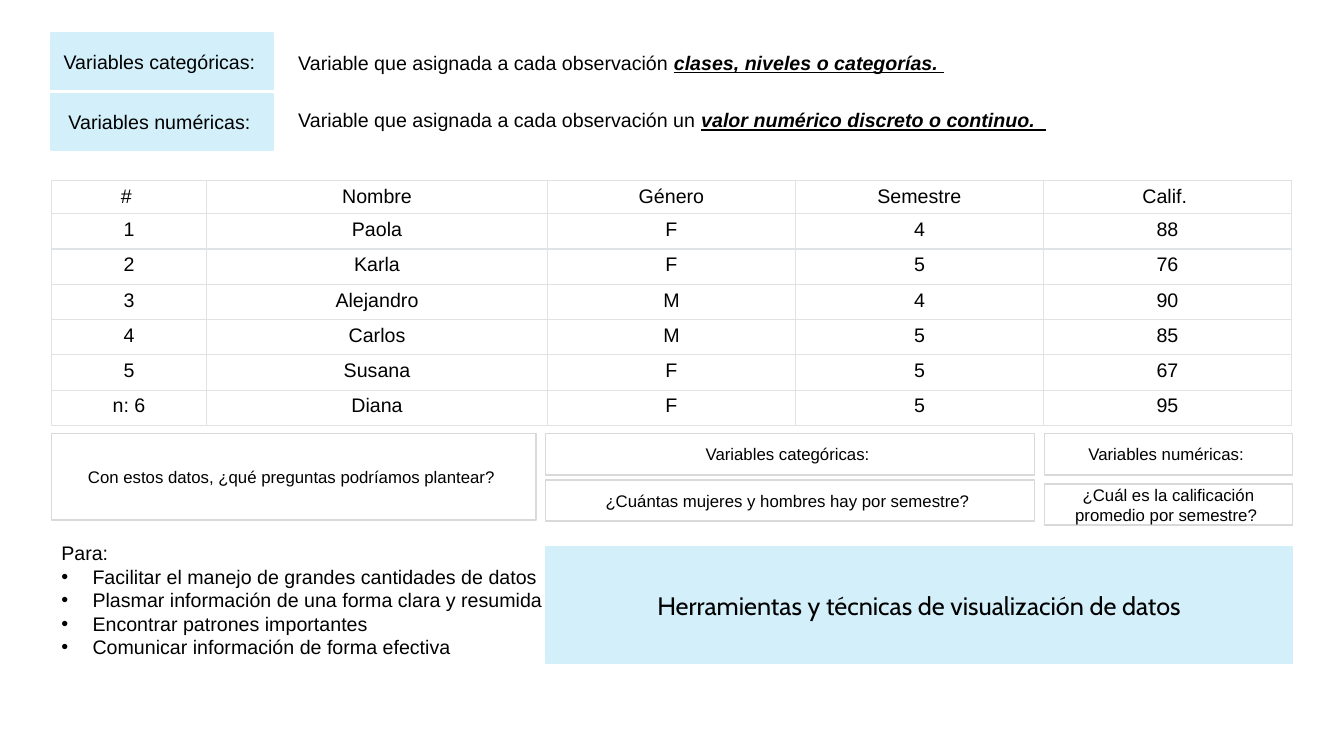
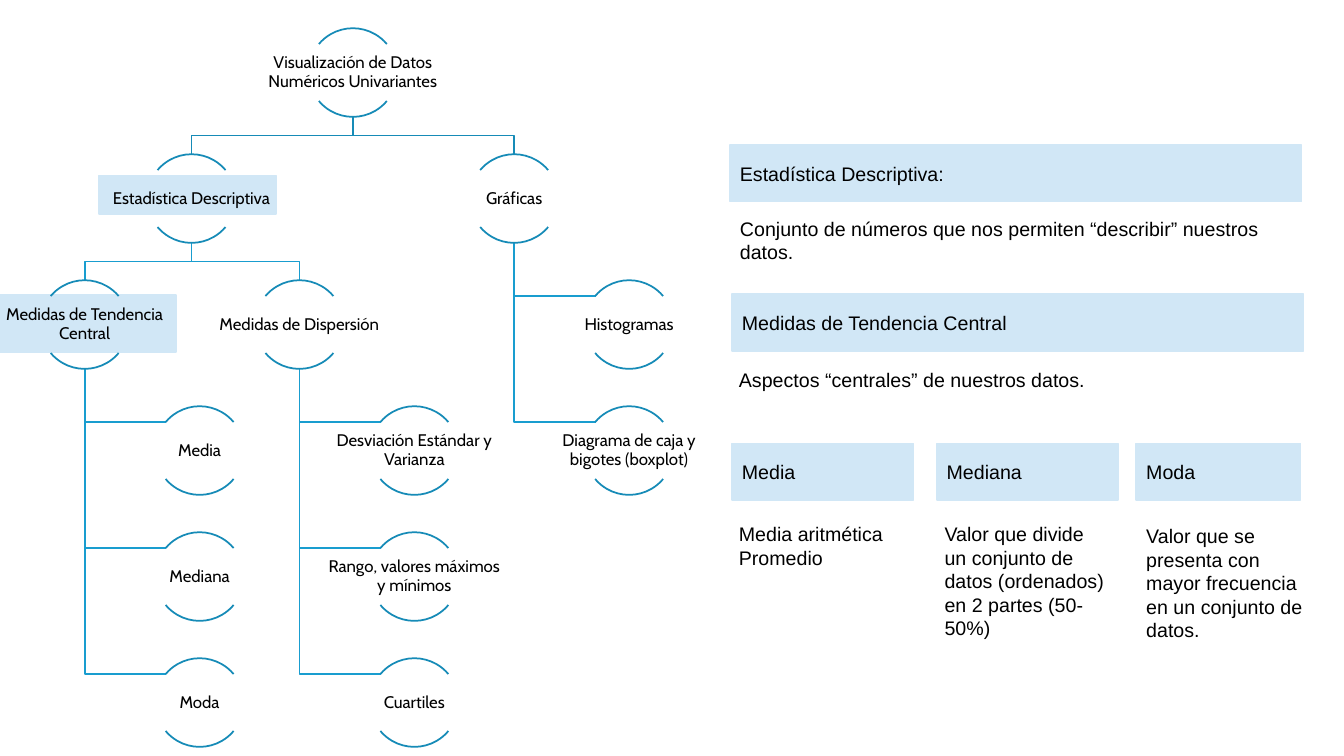
from lxml import etree
from pptx import Presentation
from pptx.dml.color import RGBColor
from pptx.enum.shapes import MSO_SHAPE
from pptx.enum.text import MSO_ANCHOR, PP_ALIGN
from pptx.oxml.ns import qn
from pptx.util import Inches, Pt

RECT, ARC = MSO_SHAPE.RECTANGLE, MSO_SHAPE.ARC
LEFT, MID = PP_ALIGN.LEFT, PP_ALIGN.CENTER
TOP, CENTER = MSO_ANCHOR.TOP, MSO_ANCHOR.MIDDLE

COLORS = {
    "text": "000000", "white": "FFFFFF", "aqua": "D2EFFA", "sky": "D1E7F6",
    "frame": "D9D9D9", "grid": "DFE3E5", "ring": "168BB7", "branch": "199DCF",
}
SANS, TITLE = "Arial", "Cabin"
STROKE = 1.25

# Slide 1: a paragraph is a string or a list of (text, emphasis) runs
TERMS = [
    ("Variables categóricas: ", 0.33, 0.34,
     [("Variable que asignada a cada observación ", False),
      ("clases, niveles o categorías. ", True), (" ", False)]),
    ("Variables numéricas: ", 0.93, 0.91,
     [("Variable que asignada a cada observación un ", False),
      ("valor numérico discreto o continuo.  ", True), (" ", False)]),
]
GRADES = [
    ("# ", "Nombre", "Género", "Semestre", "Calif. "),
    ("1", "Paola", "F", "4", "88"),
    ("2", "Karla", "F", "5", "76"),
    ("3", "Alejandro", "M", "4", "90"),
    ("4", "Carlos", "M", "5", "85"),
    ("5", "Susana", "F", "5", "67"),
    ("n: 6", "Diana", "F", "5", "95"),
]
WIDTHS = (1.54, 3.38, 2.46, 2.46, 2.46)
HEAD_ROW, BODY_ROW = 0.33, 0.35
ASKS = [
    ("Con estos datos, ¿qué preguntas podríamos plantear? ", (0.51, 4.3, 4.81, 0.86)),
    ("Variables categóricas: ", (5.41, 4.3, 4.85, 0.41)),
    ("¿Cuántas mujeres y hombres hay por semestre? ", (5.41, 4.76, 4.85, 0.41)),
    ("Variables numéricas: ", (10.36, 4.3, 2.46, 0.41)),
    ("¿Cuál es la calificación promedio por semestre? ", (10.36, 4.8, 2.46, 0.41)),
]
GOALS = [
    "Facilitar el manejo de grandes cantidades de datos",
    "Plasmar información de una forma clara y resumida",
    "Encontrar patrones importantes",
    "Comunicar información de forma efectiva",
]
TOOLS = "Herramientas y técnicas de visualización de datos"

# Slide 2: each branch has its centre, its level, its parent and its leaves
ROOT = "Visualización de Datos Numéricos Univariantes"
STATS = "Estadística Descriptiva"
TREE = [
    (ROOT, 3.5, 0, None, []),
    (STATS, 1.9, 1, ROOT, []),
    ("Medidas de Tendencia Central", 0.84, 2, STATS, ["Media", "Mediana", "Moda"]),
    ("Medidas de Dispersión", 2.97, 2, STATS,
     ["Desviación Estándar y Varianza", "Rango, valores máximos y mínimos", "Cuartiles"]),
    ("Gráficas", 5.1, 1, ROOT, ["Histogramas", "Diagrama de caja y bigotes (boxplot)"]),
]
MARKS = [(0.98, 1.74, 1.76, 0.38), (-0.01, 2.93, 1.76, 0.56)]
FIRST, STEP, RING, INDENT = 0.28, 1.25, 0.88, 1.14
LABEL_W, LABEL_H = 1.76, 0.56
DROP = (RING - LABEL_H) / 2
ARCS = [(132, 192), (24, 84)]
BANDS = [
    ("Estadística Descriptiva:", (7.24, 1.44, 5.67)),
    ("Medidas de Tendencia Central", (7.26, 2.92, 5.67)),
    ("Media", (7.26, 4.4, 1.8)),
    ("Mediana", (9.29, 4.4, 1.8)),
    ("Moda", (11.27, 4.4, 1.63)),
]
NOTES = [
    (["Conjunto de números que nos permiten “describir” nuestros datos."],
     (7.24, 2.1, 5.88, 0.57)),
    (["Aspectos “centrales” de nuestros datos."], (7.23, 3.6, 5.88, 0.34)),
    (["Media aritmética", "Promedio"], (7.23, 5.13, 1.8, 0.57)),
    (["Valor que divide un conjunto de datos (ordenados) en 2 partes (50-50%)"],
     (9.27, 5.13, 1.8, 1.28)),
    (["Valor que se presenta con mayor frecuencia en un conjunto de datos."],
     (11.27, 5.15, 1.8, 1.28)),
]


def color(name):
    return RGBColor.from_string(COLORS[name])


def place(box):
    return [Inches(n) for n in box]


def write(frame, paras, size=14, font=SANS, align=LEFT, anchor=TOP, lead=None, inset=None):
    """Fill a text frame with paragraphs in one format."""
    frame.word_wrap = True
    frame.vertical_anchor = anchor
    if inset is not None:
        frame.margin_left = frame.margin_right = Inches(inset)
        frame.margin_top = frame.margin_bottom = Inches(inset)
    for i, runs in enumerate(paras):
        para = frame.add_paragraph() if i else frame.paragraphs[0]
        para.alignment = align
        if lead:
            para.line_spacing = lead
        for text, strong in [(runs, False)] if isinstance(runs, str) else runs:
            run = para.add_run()
            run.text = text
            face = run.font
            face.name, face.size = font, Pt(size)
            face.color.rgb = color("text")
            face.bold = face.italic = face.underline = strong


def bullet(para):
    props = para._p.get_or_add_pPr()
    props.set("marL", str(Inches(0.31)))
    props.set("indent", str(Inches(-0.31)))
    etree.SubElement(props, qn("a:buFont")).set("typeface", SANS)
    etree.SubElement(props, qn("a:buChar")).set("char", "•")


def style(shape, fill, line):
    shape.shadow.inherit = False
    if fill:
        shape.fill.solid()
        shape.fill.fore_color.rgb = color(fill)
    else:
        shape.fill.background()
    shape.line.color.rgb = color(line)
    shape.line.width = Pt(STROKE)


def panel(slide, box, fill, line=None, paras=(), **look):
    shape = slide.shapes.add_shape(RECT, *place(box))
    style(shape, fill, line or fill)
    write(shape.text_frame, paras, anchor=CENTER, **look)


def note(slide, box, paras, **look):
    frame = slide.shapes.add_textbox(*place(box)).text_frame
    write(frame, paras, **look)
    return frame


def border(cell):
    props = cell._tc.get_or_add_tcPr()
    for i, side in enumerate(("lnL", "lnR", "lnT", "lnB")):
        line = etree.Element(qn("a:" + side), w=str(Pt(1)))
        fill = etree.SubElement(line, qn("a:solidFill"))
        etree.SubElement(fill, qn("a:srgbClr")).set("val", COLORS["grid"])
        props.insert(i, line)


def grades(slide):
    rows = [HEAD_ROW] + [BODY_ROW] * (len(GRADES) - 1)
    box = place((0.51, 1.79, sum(WIDTHS), sum(rows)))
    table = slide.shapes.add_table(len(rows), len(WIDTHS), *box).table
    table.first_row = table.horz_banding = False
    for col, width in zip(table.columns, WIDTHS):
        col.width = Inches(width)
    for row, height, values in zip(table.rows, rows, GRADES):
        row.height = Inches(height)
        for cell, value in zip(row.cells, values):
            cell.fill.solid()
            cell.fill.fore_color.rgb = color("white")
            border(cell)
            write(cell.text_frame, [value], align=MID)


def link(slide, points, line):
    start, *rest = [place(point) for point in points]
    build = slide.shapes.build_freeform(*start)
    build.add_line_segments(rest, close=False)
    style(build.convert_to_shape(), None, line)


def node(slide, name, x, top):
    for ends in ARCS:
        arc = slide.shapes.add_shape(ARC, *place((x - RING / 2, top, RING, RING)))
        arc.adjustments[0], arc.adjustments[1] = ends
        style(arc, None, "ring")
    note(slide, (x - LABEL_W / 2, top + DROP, LABEL_W, LABEL_H), [name], size=12,
         font=TITLE, align=MID, anchor=CENTER, lead=0.9, inset=0.01)


def tree(slide):
    spots, links = {}, []
    for name, x, level, parent, leaves in TREE:
        top = FIRST + level * STEP
        spots[name] = x, top
        if parent:
            px, ptop = spots[parent]
            base = ptop + RING
            bend = (base + top) / 2
            links.append(([(px, base), (px, bend), (x, bend), (x, top)],
                          "ring" if parent == ROOT else "branch"))
        for i, leaf in enumerate(leaves, 1):
            low = top + i * STEP
            spots[leaf] = x + INDENT, low
            join = low + DROP
            links.append(([(x, top + RING), (x, join), (x + INDENT - 0.33, join)], "branch"))
    for points, line in links:
        link(slide, points, line)
    for name, (x, top) in spots.items():
        node(slide, name, x, top)


def variables(slide):
    for term, top, low, meaning in TERMS:
        panel(slide, (0.51, top, 2.2, 0.56), "aqua", paras=[term], align=MID)
        panel(slide, (2.86, low, 8.94, 0.56), "white", paras=[meaning])
    grades(slide)
    for ask, box in ASKS:
        panel(slide, box, "white", "frame", [ask], size=12, align=MID)
    frame = note(slide, (0.51, 5.32, 12, 1.28), ["Para:"] + GOALS)
    for para in frame.paragraphs[1:]:
        bullet(para)
    panel(slide, (5.41, 5.43, 7.41, 1.15), "aqua", paras=[TOOLS],
          size=18, font=TITLE, align=MID)


def measures(slide):
    for box in MARKS:
        panel(slide, box, "sky")
    tree(slide)
    for name, box in BANDS:
        panel(slide, (*box, 0.56), "sky", paras=[name])
    for paras, box in NOTES:
        note(slide, box, paras)


def main():
    deck = Presentation()
    deck.slide_width, deck.slide_height = Inches(13.33), Inches(7.5)
    for draw in (variables, measures):
        draw(deck.slides.add_slide(deck.slide_layouts[6]))
    deck.save("out.pptx")


if __name__ == "__main__":
    main()
